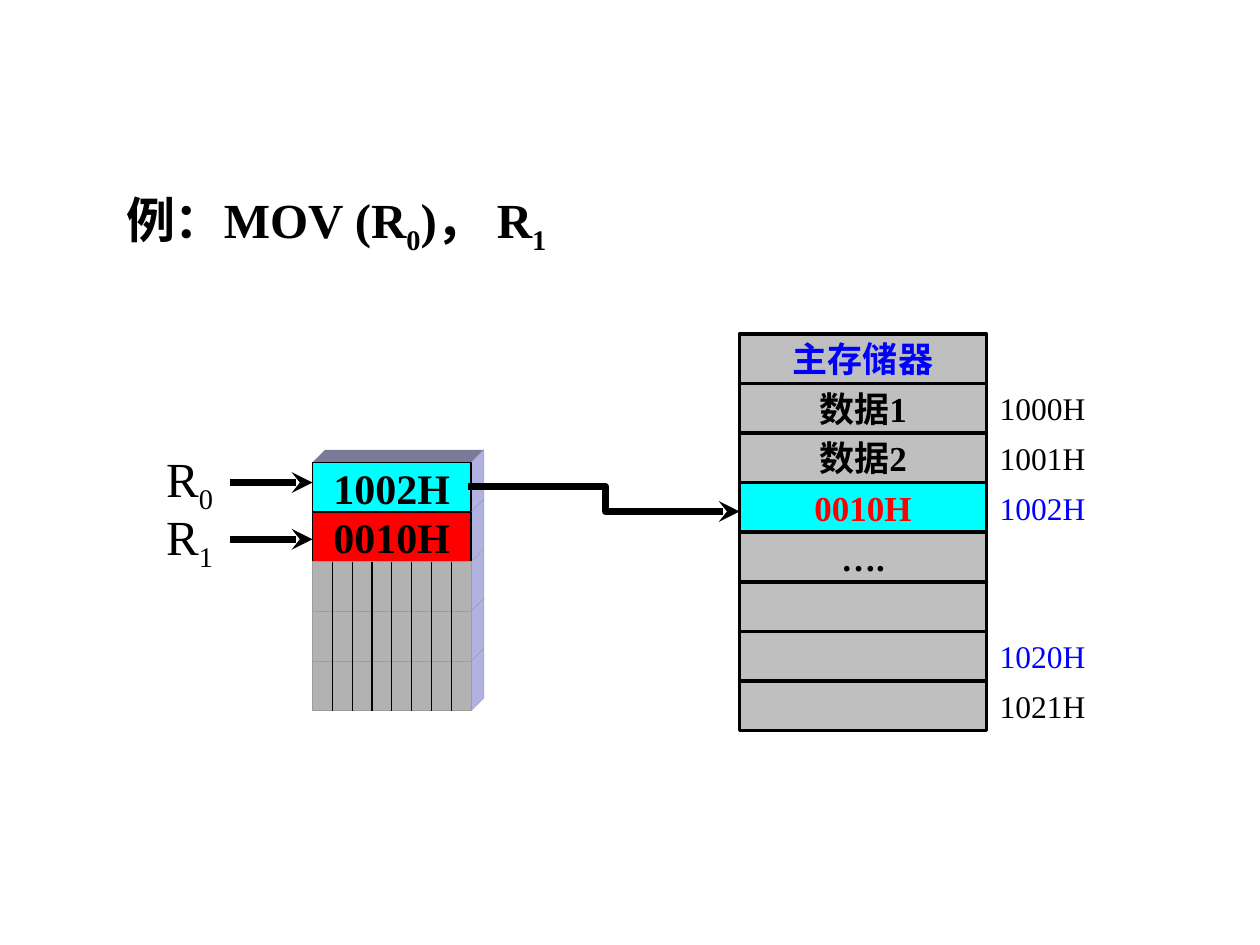
from pptx import Presentation
from pptx.dml.color import RGBColor
from pptx.enum import shapes, text
from pptx.oxml.ns import qn
from pptx.util import Inches, Pt
from lxml import etree

COLORS = {
    "black": "000000", "white": "FFFFFF", "blue": "0000FF", "red": "FF0000",
    "cyan": "00FFFF", "memory": "BFBFBF", "register": "B2B2B2",
    "seam": "9C9C9C", "top": "7A7A99", "side": "B2B2E0", "side_seam": "9A9AC8",
}
FONT = "Times New Roman"
STACK_X, STACK_Y, STACK_W, STACK_H = 2.48, 3.67, 1.26, 1.97
STACK_ROWS, BITS, DEPTH = 5, 8, 0.1
ROW_H = STACK_H / STACK_ROWS
REGISTERS = [("1002H", "cyan", 3.51, 3.83), ("0010H", "red", 3.97, 4.28)]
MEMORY_X, MEMORY_Y, MEMORY_W = 5.87, 2.65, 1.96
MEMORY_H = 3.15 / 8
MEMORY = [
    ("主存储器", "blue", "memory", "", ""),
    ("数据1", "black", "memory", "1000H", "black"),
    ("数据2", "black", "memory", "1001H", "black"),
    ("0010H", "red", "cyan", "1002H", "blue"),
    ("….", "black", "memory", "", ""),
    ("", "black", "memory", "", ""),
    ("", "black", "memory", "1020H", "blue"),
    ("", "black", "memory", "1021H", "black"),
]


def rgb(name):
    """Return the named colour."""
    return RGBColor.from_string(COLORS[name])


def write(shape, *parts, size=20, color="black", bold=False, center=True,
          wrap=True, middle=True):
    """Write parts into a shape, with every second part as a subscript."""
    frame = shape.text_frame
    frame.word_wrap = wrap
    frame.auto_size = text.MSO_AUTO_SIZE.NONE
    frame.vertical_anchor = (
        text.MSO_ANCHOR.MIDDLE if middle else text.MSO_ANCHOR.TOP)
    paragraph = frame.paragraphs[0]
    paragraph.alignment = text.PP_ALIGN.CENTER if center else text.PP_ALIGN.LEFT
    for index, part in enumerate(parts):
        run = paragraph.add_run()
        run.text = part
        run.font.name, run.font.size, run.font.bold = FONT, Pt(size), bold
        run.font.color.rgb = rgb(color)
        if index % 2:
            run.font._element.set("baseline", "-25000")


def paint(shape, fill, line=None, width=1):
    """Give a shape its fill and outline, without a shadow."""
    shape.shadow.inherit = False
    shape.fill.solid()
    shape.fill.fore_color.rgb = rgb(fill)
    if line:
        shape.line.color.rgb = rgb(line)
        shape.line.width = Pt(width)
    else:
        shape.line.fill.background()


def add_cell(slide, x, y, w, h, fill, line=None, width=1):
    """Add a rectangular cell."""
    cell = slide.shapes.add_shape(
        shapes.MSO_SHAPE.RECTANGLE, Inches(x), Inches(y), Inches(w), Inches(h))
    paint(cell, fill, line, width)
    return cell


def add_face(slide, points, fill, line=None):
    """Add one slanted face of the register block."""
    corners = [(Inches(x), Inches(y)) for x, y in points]
    builder = slide.shapes.build_freeform(*corners[0])
    builder.add_line_segments(corners[1:], close=True)
    paint(builder.convert_to_shape(), fill, line, 0.25)


def add_line(slide, start, end, width=0.75, arrow=False, bent=False):
    """Add a connector, with a stealth arrowhead if asked."""
    kind = shapes.MSO_CONNECTOR.ELBOW if bent else shapes.MSO_CONNECTOR.STRAIGHT
    line = slide.shapes.add_connector(
        kind, *(Inches(value) for value in (*start, *end)))
    line.line.color.rgb = rgb("black")
    line.line.width = Pt(width)
    if arrow:
        outline = line.line._get_or_add_ln()
        outline.set("cap", "sq")
        etree.SubElement(outline, qn("a:tailEnd"), type="stealth")
    etree.SubElement(line._element.spPr, qn("a:effectLst"))


def add_title(slide):
    """Fill in the example instruction."""
    title = slide.shapes.title
    title.left, title.top = Inches(0.9), Inches(1.45)
    title.width, title.height = Inches(4.65), Inches(0.57)
    write(title, "例：MOV (R", "0", ")， R", "1", size=28, bold=True,
          center=False, middle=False)


def add_register_stack(slide):
    """Draw the register block with bit columns in its unused rows."""
    right = STACK_X + STACK_W
    add_face(slide, [(STACK_X, STACK_Y), (STACK_X + DEPTH, STACK_Y - DEPTH),
                     (right + DEPTH, STACK_Y - DEPTH), (right, STACK_Y)], "top")
    for row in range(STACK_ROWS):
        top = STACK_Y + row * ROW_H
        bottom = top + ROW_H
        add_face(slide, [(right, top), (right + DEPTH, top - DEPTH),
                         (right + DEPTH, bottom - DEPTH), (right, bottom)],
                 "side", "side_seam")
        if row < len(REGISTERS):
            add_register(slide, row, top, *REGISTERS[row])
            continue
        add_cell(slide, STACK_X, top, STACK_W, ROW_H, "register", "seam", 0.5)
        for bit in range(1, BITS):
            x = STACK_X + bit * STACK_W / BITS
            add_line(slide, (x, top), (x, bottom))


def add_register(slide, row, top, value, fill, label_y, arrow_y):
    """Add a register's value, name and pointer."""
    register = add_cell(slide, STACK_X, top, STACK_W, ROW_H, fill, "black")
    write(register, value, size=24, bold=True, wrap=False)
    label = slide.shapes.add_textbox(
        Inches(1.22), Inches(label_y), Inches(0.59), Inches(0.57))
    write(label, "R", str(row), size=28, center=False, wrap=False, middle=False)
    add_line(slide, (1.85, arrow_y), (STACK_X, arrow_y), 4, arrow=True)


def add_memory(slide):
    """Draw the main memory and its addresses."""
    for row, (value, color, fill, address, address_color) in enumerate(MEMORY):
        y = MEMORY_Y + row * MEMORY_H
        if address:
            tag = add_cell(slide, 7.76, y, 1.03, MEMORY_H, "white")
            write(tag, address, size=18, color=address_color)
        cell = add_cell(slide, MEMORY_X, y, MEMORY_W, MEMORY_H, fill, "black", 2)
        if value:
            write(cell, value, color=color, bold=True)


def main():
    """Build and save the slide."""
    deck = Presentation()
    deck.slide_width, deck.slide_height = Inches(10), Inches(7.5)
    slide = deck.slides.add_slide(deck.slide_layouts[5])
    add_title(slide)
    add_register_stack(slide)
    add_memory(slide)
    add_line(slide, (STACK_X + STACK_W, 3.86), (MEMORY_X, 4.06), 4,
             arrow=True, bent=True)
    deck.save("out.pptx")


if __name__ == "__main__":
    main()
